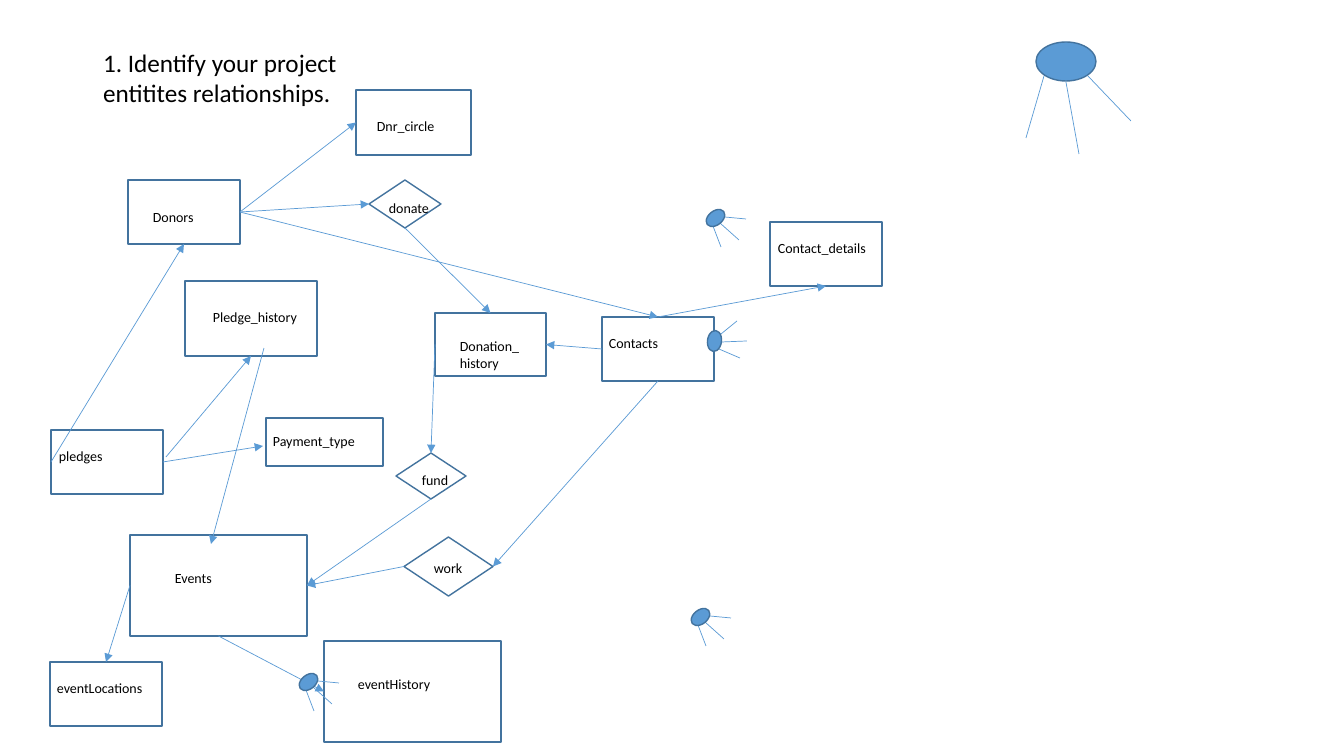
"""Build the entity relationship slide with its title, boxes, links and crow's feet."""
from lxml import etree
from pptx import Presentation, util as u
from pptx.dml.color import RGBColor
from pptx.enum import shapes, text
from pptx.oxml.ns import qn

PX = u.Inches(1) / 100.8
COLORS = {"text": "000000", "link": "5B9BD5", "edge": "43739E"}
RECT, DIAMOND, OVAL = (shapes.MSO_SHAPE.RECTANGLE, shapes.MSO_SHAPE.FLOWCHART_DECISION,
                       shapes.MSO_SHAPE.OVAL)
TOP, LEFT, BOTTOM, RIGHT = range(4)

prs = Presentation()
prs.slide_width, prs.slide_height = round(1344 * PX), round(756 * PX)
s = prs.slides.add_slide(prs.slide_layouts[5])


def add_outline(kind, box, fill=None):
    sp = s.shapes.add_shape(kind, *[round(v * PX) for v in box])
    sp.shadow.inherit = False
    if fill:
        sp.fill.solid()
        sp.fill.fore_color.rgb = RGBColor.from_string(fill)
    else:
        sp.fill.background()
    sp.line.color.rgb = RGBColor.from_string(COLORS["edge"])
    sp.line.width = u.Pt(1)
    return sp


def add_line(x1, y1, x2, y2, arrow=False):
    c = s.shapes.add_connector(shapes.MSO_CONNECTOR.STRAIGHT,
                               *[round(v * PX) for v in (x1, y1, x2, y2)])
    c.line.color.rgb = RGBColor.from_string(COLORS["link"])
    c.line.width = u.Pt(0.5)
    spPr = c._element.spPr
    if arrow:
        etree.SubElement(spPr.find(qn("a:ln")), qn("a:tailEnd"), type="triangle")
    etree.SubElement(spPr, qn("a:effectLst"))
    return c


title = s.shapes.title
title.left, title.top, title.width, title.height = [round(v * PX) for v in (93, 42, 297, 72)]
tf = title.text_frame
tf.text = "1. Identify your project entitites relationships."
tf.word_wrap = True
tf.auto_size = text.MSO_AUTO_SIZE.NONE
tf.vertical_anchor = text.MSO_ANCHOR.TOP
p = tf.paragraphs[0]
p.alignment = text.PP_ALIGN.LEFT
p.font.size, p.font.name = u.Pt(18), "Calibri"
p.font.color.rgb = RGBColor.from_string(COLORS["text"])

entities = [
    ("Donors", RECT, (128, 180, 112, 64), (143, 204, 83, 27)),
    ("Events", RECT, (130, 535, 177, 101), (165, 565, 107, 27)),
    ("Donation_history", RECT, (435, 313, 111, 63), (450, 333, 82, 44)),
    ("donate", DIAMOND, (369, 180, 72, 48), (379, 195, 73, 27)),
    ("work", DIAMOND, (404, 537, 89, 59), (424, 555, 65, 27)),
    ("fund", DIAMOND, (396, 453, 70, 46), (412, 467, 50, 27)),
    ("eventHistory", RECT, (324, 641, 177, 101), (348, 671, 131, 27)),
    ("pledges", RECT, (51, 430, 112, 64), (49, 443, 118, 27)),
    ("Contact_details", RECT, (770, 222, 112, 64), (768, 235, 118, 27)),
    ("Payment_type", RECT, (266, 418, 117, 48), (263, 428, 123, 27)),
    ("Contacts", RECT, (602, 317, 112, 64), (599, 330, 118, 27)),
    ("eventLocations", RECT, (50, 662, 112, 64), (47, 675, 118, 27)),
    ("Pledge_history", RECT, (185, 281, 132, 75), (203, 304, 123, 27)),
    ("Dnr_circle", RECT, (356, 90, 115, 65), (367, 113, 87, 27)),
]
nodes = {}
for name, kind, box, label in entities:
    nodes[name] = add_outline(kind, box)
    tf = s.shapes.add_textbox(*[round(v * PX) for v in label]).text_frame
    tf.word_wrap = True
    tf.text = name
    p = tf.paragraphs[0]
    p.font.size, p.font.name = u.Pt(10), "Calibri"
    p.font.color.rgb = RGBColor.from_string(COLORS["text"])

links = [
    ("Donors", RIGHT, "donate", LEFT),
    ("Donors", RIGHT, "Dnr_circle", LEFT),
    ("Donors", RIGHT, "Contacts", TOP),
    ("donate", BOTTOM, "Donation_history", TOP),
    ("work", LEFT, "Events", RIGHT),
    ("Donation_history", LEFT, "fund", TOP),
    ("fund", BOTTOM, "Events", RIGHT),
    ("Events", BOTTOM, "eventHistory", LEFT),
    ("Events", LEFT, "eventLocations", TOP),
    ("Contacts", LEFT, "Donation_history", RIGHT),
    ("Contacts", TOP, "Contact_details", BOTTOM),
    ("Contacts", BOTTOM, "work", RIGHT),
    ("pledges", LEFT, "Donors", BOTTOM),
]
for start, start_site, end, end_site in links:
    c = add_line(0, 0, 0, 0, arrow=True)
    c.begin_connect(nodes[start], start_site)
    c.end_connect(nodes[end], end_site)
c = add_line(166, 457, 251, 357, arrow=True)
c.end_connect(nodes["Pledge_history"], BOTTOM)
c = add_line(163, 462, 263, 446, arrow=True)
c.begin_connect(nodes["pledges"], RIGHT)
add_line(264, 348, 211, 544, arrow=True)

small_toes = [(8, 15, 16, 36), (15, 12, 34, 29), (20, 6, 41, 8)]
contact_toes = [(15, 15, 36, 24), (18, 8, 43, 7), (17, 0, 33, -13)]
big_toes = [(8, 34, -10, 96), (30, 40, 43, 112), (52, 34, 95, 79)]
feet = [
    (690, 610, 21, 14, 321.5, small_toes),
    (298, 675, 21, 14, 321.5, small_toes),
    (705, 211, 21, 14, 321.5, small_toes),
    (704, 334, 21, 14, 277.1, contact_toes),
    (1036, 42, 60, 39, 0, big_toes),
]
for x, y, w, h, angle, toes in feet:
    for x1, y1, x2, y2 in toes:
        add_line(x + x1, y + y1, x + x2, y + y2)
    add_outline(OVAL, (x, y, w, h), COLORS["link"]).rotation = angle

prs.save("out.pptx")
